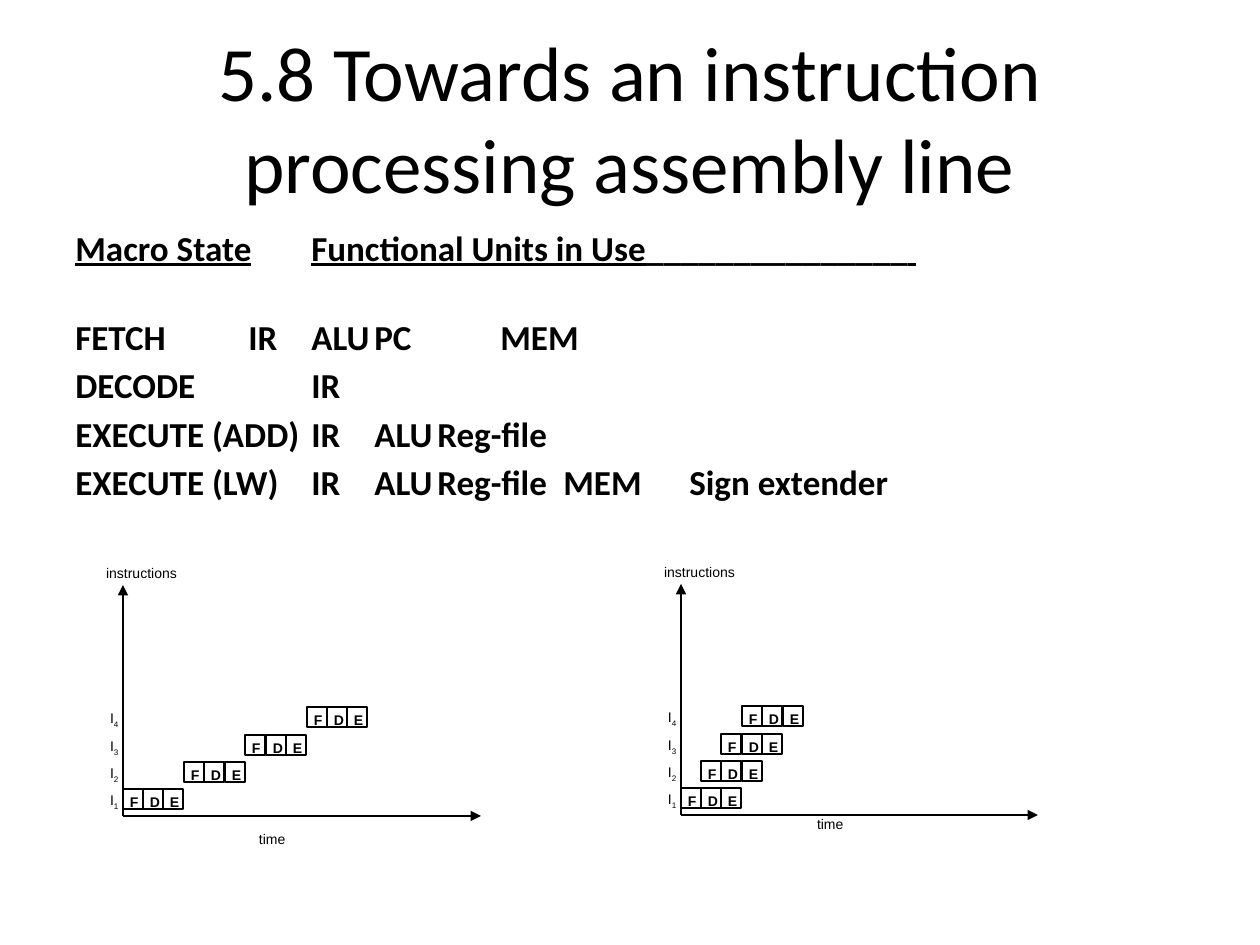
from lxml import etree
from pptx import Presentation
from pptx import util as u
from pptx.dml.color import RGBColor
from pptx.enum import shapes, text
from pptx.oxml.ns import qn

SCALE = 914400 / 126
BLACK = "000000"
STAGES = "FDE"
ROWS = [
    "FETCH\t\tIR\tALU\tPC \t\tMEM",
    "DECODE\t\tIR",
    "EXECUTE (ADD)\tIR\tALU\tReg-file",
    "EXECUTE (LW)\tIR\tALU\tReg-file\tMEM\tSign extender",
]


def px(n):
    return u.Emu(round(n * SCALE))


def rgb(value):
    return RGBColor.from_string(value)


def style(p, name, size, bold=False):
    p.font.name, p.font.size, p.font.bold = name, u.Pt(size), bold
    p.font.color.rgb = rgb(BLACK)


def text_frame(parent, x, y, w, h):
    tf = parent.add_textbox(px(x), px(y), px(w), px(h)).text_frame
    tf.word_wrap = True
    return tf


def add_title(parent, box):
    tf = text_frame(parent, *box)
    tf.vertical_anchor = text.MSO_ANCHOR.MIDDLE
    p = tf.paragraphs[0]
    p.text = "5.8 Towards an instruction processing assembly line"
    p.alignment = text.PP_ALIGN.CENTER
    style(p, "Calibri", 44)


def add_states(parent, box):
    tf = text_frame(parent, *box)
    header = tf.paragraphs[0]
    for content, underline in [
        ("Macro State", True), ("\t", False), ("Functional Units in Use", True),
        ("_______________", False), (" ", True),
    ]:
        r = header.add_run()
        r.text, r.font.underline = content, underline
    for row in ROWS:
        tf.add_paragraph().text = row
    for i, p in enumerate(tf.paragraphs):
        style(p, "Calibri", 20, bold=True)
        p.space_before = u.Pt(27 if i == 1 else 3.6)
        pPr = p._p.get_or_add_pPr()
        pPr.set("marL", str(px(47)))
        pPr.set("indent", str(-px(47)))


def add_label(parent, x, y, w, h, content, bold=False, subscript=""):
    tf = text_frame(parent, x, y, w, h)
    tf.margin_left = tf.margin_right = px(4)
    tf.margin_top = tf.margin_bottom = px(2)
    p = tf.paragraphs[0]
    p.text = content
    style(p, "Arial", 8, bold)
    if subscript:
        tf.vertical_anchor = text.MSO_ANCHOR.MIDDLE
        r = p.add_run()
        r.text = subscript
        r.font._element.set("baseline", "-30000")


def add_axis(parent, x1, y1, x2, y2):
    line = parent.add_connector(
        shapes.MSO_CONNECTOR.STRAIGHT, px(x1), px(y1), px(x2), px(y2))
    line.line.color.rgb = rgb(BLACK)
    line.line.width = u.Pt(0.75)
    etree.SubElement(line.line._get_or_add_ln(), qn("a:tailEnd"), type="triangle")
    etree.SubElement(line._element.spPr, qn("a:effectLst"))


def add_stage(parent, x, y, size, letter):
    sp = parent.add_shape(
        shapes.MSO_SHAPE.RECTANGLE, px(x), px(y), px(size), px(size))
    sp.shadow.inherit = False
    sp.fill.background()
    sp.line.color.rgb = rgb(BLACK)
    sp.line.width = u.Pt(0.75)
    add_label(parent, x + 3, y + 3, 15, 16, letter, bold=True)


def add_timeline(parent, box, start_step, time_gap):
    x, y, w, h = box
    bottom = y + h
    group = parent.add_group_shape().shapes
    add_axis(group, x, bottom, x, y)
    add_axis(group, x, bottom, x + w, bottom)
    add_label(group, x - 21, y - 22, 110, 16, "instructions")
    add_label(group, x + 132, bottom + time_gap, 68, 16, "time")
    for i in range(4):
        top = bottom - 27 - 82 * i // 3
        add_label(group, x - 17, top + 4, 18, 16, "I", subscript=str(i + 1))
        for j, letter in enumerate(STAGES):
            slot = i * start_step + j
            add_stage(group, x + 184 * slot // 9, top, 20, letter)


def main():
    prs = Presentation()
    prs.slide_width, prs.slide_height = px(1260), px(945)
    s = prs.slides.add_slide(prs.slide_layouts[6])
    add_title(s.shapes, (63, 38, 1134, 157))
    add_states(s.shapes, (63, 220, 1134, 270))
    add_timeline(s.shapes, (123, 585, 358, 231), start_step=3, time_gap=13)
    add_timeline(s.shapes, (681, 584, 357, 231), start_step=1, time_gap=-1)
    prs.save("out.pptx")


if __name__ == "__main__":
    main()
